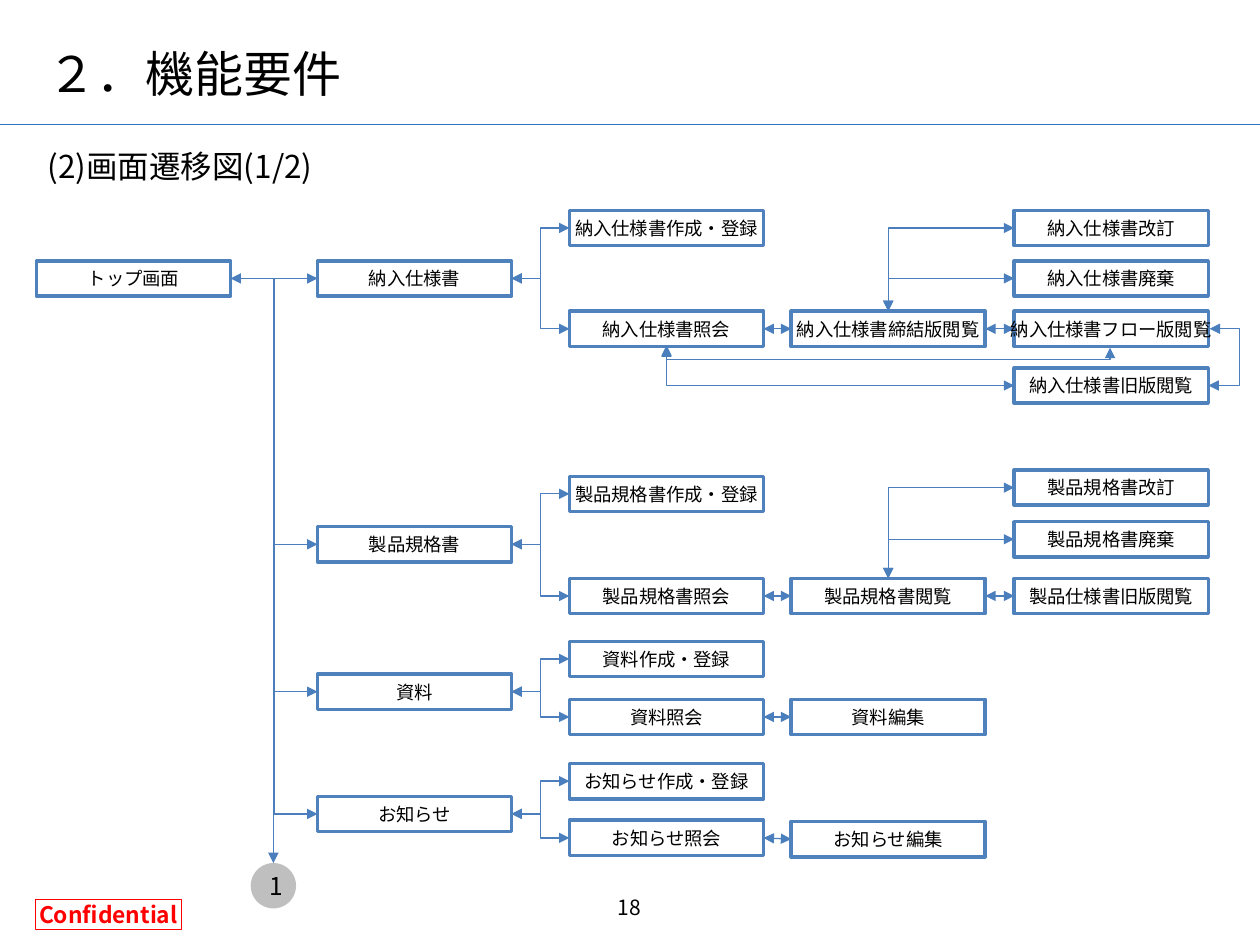
from dataclasses import dataclass
from typing import NamedTuple

from lxml.etree import SubElement
from pptx import Presentation
from pptx.dml.color import RGBColor
from pptx.enum.shapes import MSO_CONNECTOR as Link, MSO_SHAPE as Preset
from pptx.enum.text import MSO_ANCHOR as Anchor, PP_ALIGN as Align
from pptx.oxml.ns import qn
from pptx.util import Inches, Pt

COLORS = {"ink": "000000", "paper": "FFFFFF", "border": "4F81BD", "link": "4B7EBC",
          "rule": "2B73BA", "alert": "FF0000", "marker": "BFBFBF"}
FONT = "Noto Sans CJK JP"
GRID_COLUMNS, GRID_ROWS = 1000, 750
CELL = Inches(10) // GRID_COLUMNS
SCREEN_LEFTS = (29, 252, 452, 628, 805)
SCREEN_WIDTH, SCREEN_HEIGHT = 154, 28
TRUNK = 217
MARKER = 36


class Point(NamedTuple):
    column: int
    row: int


class Area(NamedTuple):
    left: int
    top: int
    width: int
    height: int


@dataclass(frozen=True)
class Screen:
    text: str
    level: int
    middle: int

    @property
    def left(self) -> Point:
        return Point(SCREEN_LEFTS[self.level], self.middle)

    @property
    def right(self) -> Point:
        return Point(self.left.column + SCREEN_WIDTH, self.middle)

    @property
    def top(self) -> Point:
        return Point(self.left.column + SCREEN_WIDTH // 2, self.middle - SCREEN_HEIGHT // 2)

    @property
    def bottom(self) -> Point:
        return Point(self.top.column, self.top.row + SCREEN_HEIGHT)


@dataclass(frozen=True)
class Family:
    hub: Screen
    create: Screen
    chain: tuple[Screen, ...]
    actions: tuple[Screen, ...] = ()


HOME = Screen("トップ画面", 0, 221)
FLOW = Screen("納入仕様書フロー版閲覧", 4, 261)
OLD = Screen("納入仕様書旧版閲覧", 4, 306)
INQUIRY = Screen("納入仕様書照会", 2, 261)
FAMILIES = (
    Family(Screen("納入仕様書", 1, 221), Screen("納入仕様書作成・登録", 2, 181),
           (INQUIRY, Screen("納入仕様書締結版閲覧", 3, 261), FLOW),
           (Screen("納入仕様書改訂", 4, 181), Screen("納入仕様書廃棄", 4, 221))),
    Family(Screen("製品規格書", 1, 432), Screen("製品規格書作成・登録", 2, 392),
           (Screen("製品規格書照会", 2, 473), Screen("製品規格書閲覧", 3, 473),
            Screen("製品仕様書旧版閲覧", 4, 473)),
           (Screen("製品規格書改訂", 4, 387), Screen("製品規格書廃棄", 4, 428))),
    Family(Screen("資料", 1, 549), Screen("資料作成・登録", 2, 523),
           (Screen("資料照会", 2, 569), Screen("資料編集", 3, 569))),
    Family(Screen("お知らせ", 1, 646), Screen("お知らせ作成・登録", 2, 620),
           (Screen("お知らせ照会", 2, 665), Screen("お知らせ編集", 3, 666))),
)


def apply(target, values: dict) -> None:
    for name, value in values.items():
        setattr(target, name, value)


def color(name: str) -> RGBColor:
    return RGBColor.from_string(COLORS[name])


def write(shape, text: str, size: float, ink: str = "ink", bold: bool = False,
          frame: dict | None = None, layout: dict | None = None) -> None:
    apply(shape.text_frame, {"word_wrap": True, **(frame or {})})
    para = shape.text_frame.paragraphs[0]
    apply(para, layout or {})
    span = para.add_run()
    span.text = text
    apply(span.font, {"size": Pt(size), "bold": bold, "name": FONT})
    span.font.color.rgb = color(ink)
    SubElement(span._r.get_or_add_rPr(), qn("a:ea"), typeface=FONT)


def add_label(page, area: Area, text: str, size: float, **style) -> None:
    box = page.shapes.add_textbox(*(cells * CELL for cells in area))
    write(box, text, size, **style)


def add_block(page, preset, area: Area, text: str, size: float, fill: str = "",
              border: str = "", weight: float = 0.75, frame: dict | None = None,
              **style) -> None:
    block = page.shapes.add_shape(preset, *(cells * CELL for cells in area))
    block.shadow.inherit = False
    if fill:
        block.fill.solid()
        block.fill.fore_color.rgb = color(fill)
    else:
        block.fill.background()
    if border:
        block.line.color.rgb = color(border)
        block.line.width = Pt(weight)
    else:
        block.line.fill.background()
    write(block, text, size, frame={"vertical_anchor": Anchor.MIDDLE, **(frame or {})},
          layout={"alignment": Align.CENTER}, **style)


def add_screen(page, screen: Screen) -> None:
    area = Area(screen.left.column, screen.top.row, SCREEN_WIDTH, SCREEN_HEIGHT)
    add_block(page, Preset.RECTANGLE, area, screen.text, 10.5, "paper", "border", 2,
              {"word_wrap": False})


def add_link(page, start: Point, end: Point, kind=Link.ELBOW, corner: bool = False,
             bend: float = 0.5, turn: int = 0, ends: tuple[str, ...] = ("headEnd", "tailEnd"),
             ink: str = "link") -> None:
    link = page.shapes.add_connector(kind, *(cells * CELL for cells in (*start, *end)))
    link.line.color.rgb = color(ink)
    link.line.width = Pt(0.75)
    properties = link._element.spPr
    geometry = properties.find(qn("a:prstGeom"))
    if corner:
        geometry.set("prst", "bentConnector2")
    elif bend != 0.5:
        SubElement(geometry.find(qn("a:avLst")), qn("a:gd"), name="adj1",
                   fmla=f"val {round(bend * 100000)}")
    if turn:
        properties.find(qn("a:xfrm")).set("rot", str(turn * 60000))
    for end_name in ends:
        SubElement(properties.find(qn("a:ln")), qn(f"a:{end_name}"), type="triangle")
    SubElement(properties, qn("a:effectLst"))


def add_family(page, family: Family) -> None:
    add_link(page, HOME.right, family.hub.left, ends=("tailEnd",))
    for branch in (family.create, family.chain[0]):
        add_link(page, family.hub.right, branch.left)
    for near, far in zip(family.chain, family.chain[1:]):
        add_link(page, near.right, far.left, Link.STRAIGHT)
    for action in family.actions:
        add_link(page, action.left, family.chain[1].top, corner=True)
    for screen in (family.hub, family.create, *family.chain, *family.actions):
        add_screen(page, screen)


def add_detours(page) -> None:
    add_link(page, OLD.left, INQUIRY.bottom, corner=True)
    add_link(page, OLD.right, Point(FLOW.right.column + 1, FLOW.middle), bend=25)
    center = (INQUIRY.bottom.column + FLOW.bottom.column) // 2
    half = (FLOW.bottom.column - INQUIRY.bottom.column) // 2
    row = INQUIRY.bottom.row
    add_link(page, Point(center + 1, row - half), Point(center - 1, row + half),
             bend=5.5, turn=270)


def main() -> None:
    deck = Presentation()
    apply(deck, {"slide_width": GRID_COLUMNS * CELL, "slide_height": GRID_ROWS * CELL})
    page = deck.slides.add_slide(deck.slide_layouts[6])
    add_link(page, Point(0, 99), Point(GRID_COLUMNS, 99), Link.STRAIGHT, ends=(), ink="rule")
    margins = dict.fromkeys(("margin_left", "margin_right", "margin_top", "margin_bottom"),
                            4 * CELL)
    add_block(page, Preset.RECTANGLE, Area(28, 714, 116, 24), "Confidential", 13,
              border="alert", ink="alert", bold=True, frame={"word_wrap": False, **margins})
    add_label(page, Area(28, 29, 758, 57), "２．機能要件", 28,
              frame={"vertical_anchor": Anchor.BOTTOM})
    add_label(page, Area(28, 115, 945, 40), "(2)画面遷移図(1/2)", 18,
              layout={"line_spacing": 0.9})
    add_label(page, Area(383, 695, 233, 40), "18", 12,
              frame={"vertical_anchor": Anchor.BOTTOM}, layout={"alignment": Align.CENTER})
    add_screen(page, HOME)
    for family in FAMILIES:
        add_family(page, family)
    add_screen(page, OLD)
    add_detours(page)
    add_link(page, HOME.right, Point(TRUNK, 685), corner=True)
    add_block(page, Preset.OVAL, Area(TRUNK - MARKER // 2, 685, MARKER, MARKER), "1", 14,
              fill="marker")
    deck.save("out.pptx")


if __name__ == "__main__":
    main()
